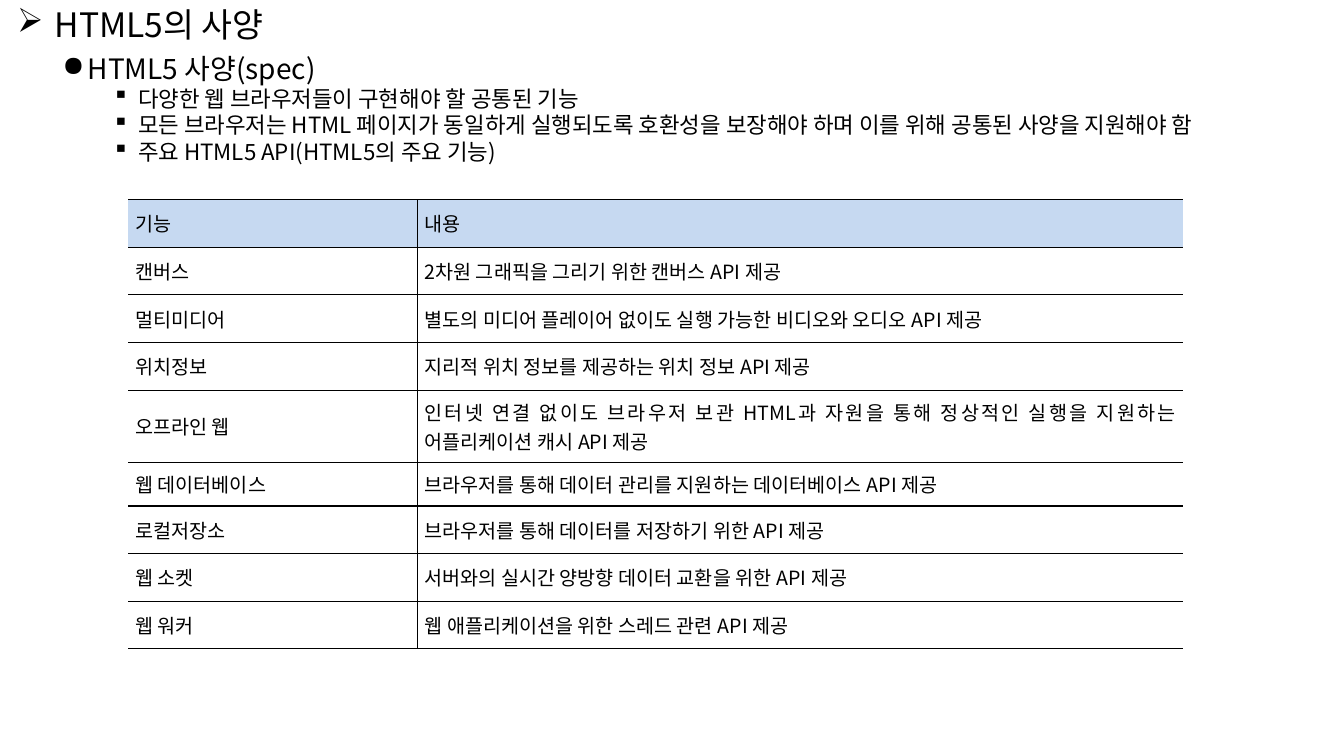
from dataclasses import dataclass

from lxml.etree import SubElement
from pptx import Presentation
from pptx.dml.color import RGBColor
from pptx.enum.text import MSO_ANCHOR as Anchor, PP_ALIGN as Align
from pptx.oxml.ns import qn
from pptx.util import Cm, Pt


@dataclass(frozen=True)
class Theme:
    font: str = "Noto Sans CJK KR"
    ink: str = "000000"
    header: str = "C6D9F1"
    title: int = 24
    heading: int = 20
    point: int = 16
    cell: int = 14
    rule: int = 1


THEME = Theme()

POINTS = [
    "다양한 웹 브라우저들이 구현해야 할 공통된 기능",
    "모든 브라우저는 HTML 페이지가 동일하게 실행되도록 호환성을 보장해야 하며 "
    "이를 위해 공통된 사양을 지원해야 함",
    "주요 HTML5 API(HTML5의 주요 기능)",
]

FEATURES = [
    ("기능", "내용"),
    ("캔버스", "2차원 그래픽을 그리기 위한 캔버스 API 제공"),
    ("멀티미디어", "별도의 미디어 플레이어 없이도 실행 가능한 비디오와 오디오 API 제공"),
    ("위치정보", "지리적 위치 정보를 제공하는 위치 정보 API 제공"),
    ("오프라인 웹", "인터넷 연결 없이도 브라우저 보관 HTML과 자원을 통해 정상적인 "
     "실행을 지원하는 어플리케이션 캐시 API 제공"),
    ("웹 데이터베이스", "브라우저를 통해 데이터 관리를 지원하는 데이터베이스 API 제공"),
    ("로컬저장소", "브라우저를 통해 데이터를 저장하기 위한 API 제공"),
    ("웹 소켓", "서버와의 실시간 양방향 데이터 교환을 위한 API 제공"),
    ("웹 워커", "웹 애플리케이션을 위한 스레드 관련 API 제공"),
]
COLUMN_WIDTHS = (7.29, 19.3)
ROW_HEIGHT = 1.2
SPECIAL_HEIGHTS = {4: 1.82, 5: 1.1}


def write(paragraph, text, *, size, align=Align.LEFT, bullet=None, indent=0,
          hanging=0, level=0, spacing=1.0, before=0):
    """Fill one paragraph with formatted text."""
    paragraph.level = level
    paragraph.alignment = align
    paragraph.line_spacing = spacing
    paragraph.space_before = Pt(before)
    if bullet:
        properties = paragraph._p.get_or_add_pPr()
        properties.set("marL", str(Cm(indent)))
        properties.set("indent", str(-Cm(hanging)))
        SubElement(properties, qn("a:buChar"), char=bullet)
    run = paragraph.add_run()
    run.text = text
    run.font.size = Pt(size)
    run.font.name = THEME.font
    run.font.color.rgb = RGBColor.from_string(THEME.ink)
    SubElement(run._r.get_or_add_rPr(), qn("a:ea"), typeface=THEME.font)


def add_text_frame(slide, left, top, width, height, anchor=Anchor.TOP):
    box = slide.shapes.add_textbox(Cm(left), Cm(top), Cm(width), Cm(height))
    frame = box.text_frame
    frame.word_wrap = True
    frame.vertical_anchor = anchor
    return frame


def set_borders(cell, visible):
    """Rule the named sides of a cell and clear the others."""
    properties = cell._tc.get_or_add_tcPr()
    for side in "LRTB":
        line = SubElement(properties, qn(f"a:ln{side}"), w=str(Pt(THEME.rule)))
        if side in visible:
            fill = SubElement(line, qn("a:solidFill"))
            SubElement(fill, qn("a:srgbClr"), val=THEME.ink)
        else:
            SubElement(line, qn("a:noFill"))


def add_feature_table(slide, left, top):
    heights = [SPECIAL_HEIGHTS.get(i, ROW_HEIGHT) for i in range(len(FEATURES))]
    table = slide.shapes.add_table(
        len(FEATURES), len(COLUMN_WIDTHS), Cm(left), Cm(top),
        Cm(sum(COLUMN_WIDTHS)), Cm(sum(heights))).table
    table.first_row = table.horz_banding = False
    for column, width in zip(table.columns, COLUMN_WIDTHS):
        column.width = Cm(width)
    for row_index, (row, height) in enumerate(zip(table.rows, heights)):
        row.height = Cm(height)
        for column_index, cell in enumerate(row.cells):
            cell.vertical_anchor = Anchor.MIDDLE
            cell.margin_left = cell.margin_right = Cm(0.18)
            cell.margin_top = cell.margin_bottom = 0
            write(cell.text_frame.paragraphs[0], FEATURES[row_index][column_index],
                  size=THEME.cell, align=Align.JUSTIFY)
            set_borders(cell, "LTB" if column_index else "RTB")
            if row_index == 0:
                cell.fill.solid()
                cell.fill.fore_color.rgb = RGBColor.from_string(THEME.header)
            else:
                cell.fill.background()


def main():
    presentation = Presentation()
    presentation.slide_width, presentation.slide_height = Cm(33.87), Cm(19.05)
    slide = presentation.slides.add_slide(presentation.slide_layouts[6])

    # Title
    title = add_text_frame(slide, 0.18, 0, 12.5, 1.32, Anchor.MIDDLE)
    write(title.paragraphs[0], "HTML5의 사양", size=THEME.title, bullet="➢",
          indent=0.95, hanging=0.95, spacing=0.9)

    # Heading and its points
    body = add_text_frame(slide, 1.32, 1.37, 32.54, 3.66)
    write(body.paragraphs[0], "HTML5 사양(spec)", size=THEME.heading, bullet="●",
          indent=0.64, hanging=0.64, spacing=0.74)
    for point in POINTS:
        write(body.add_paragraph(), point, size=THEME.point, bullet="▪", level=1,
              indent=1.91, hanging=0.64, spacing=0.74, before=5)

    # Feature table
    add_feature_table(slide, 3.23, 5.03)

    presentation.save("out.pptx")


if __name__ == "__main__":
    main()
